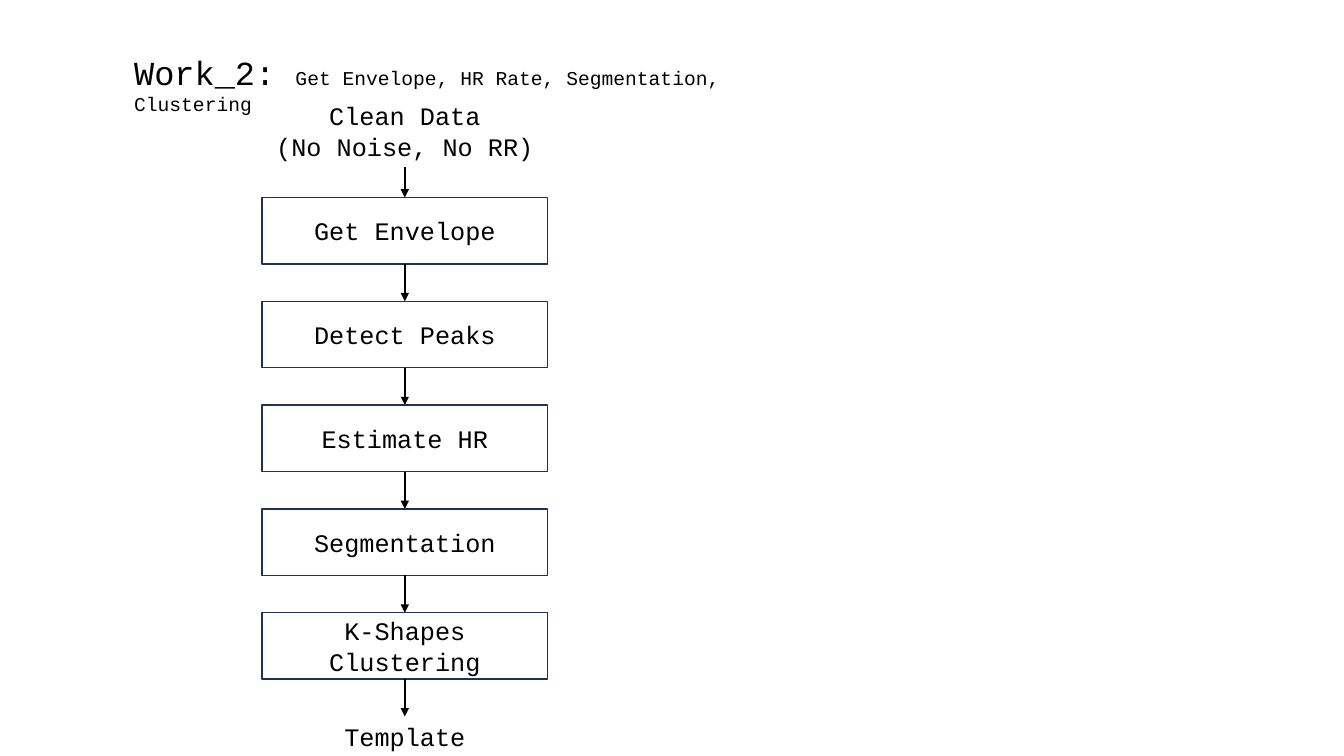
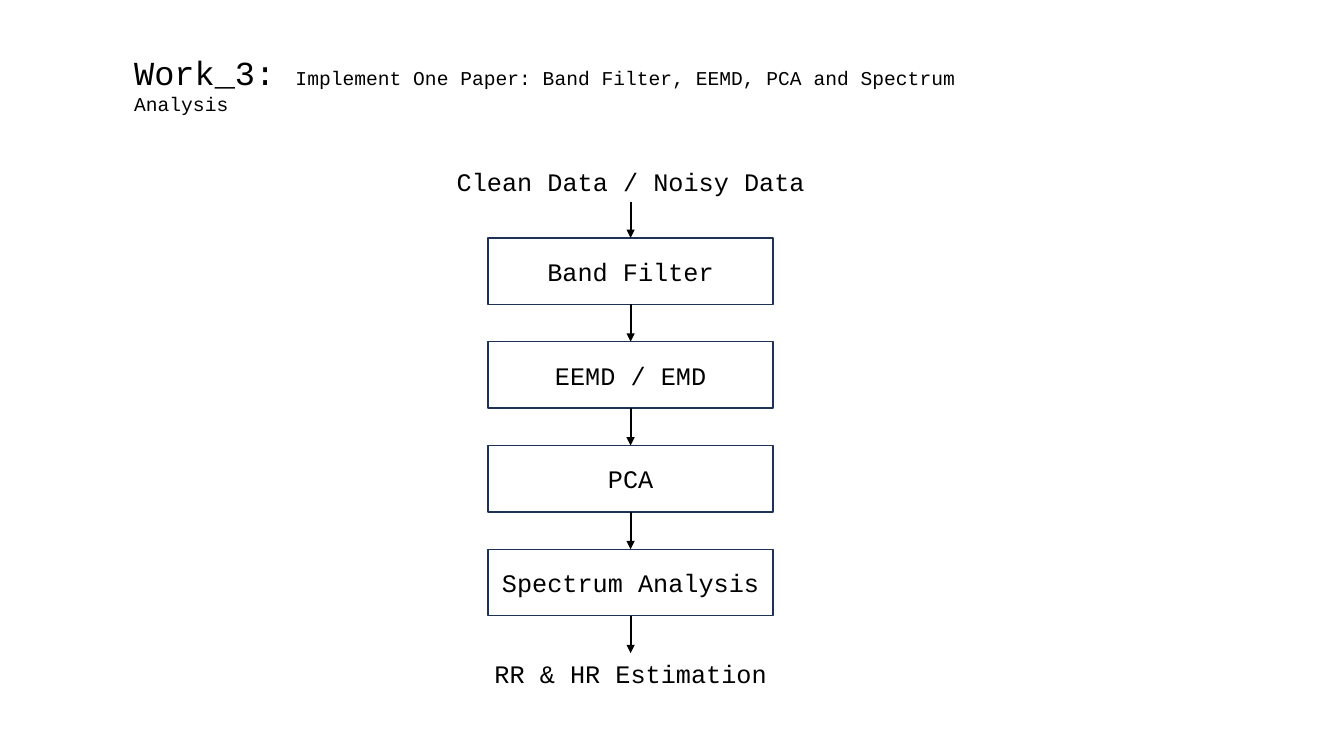
from pptx import Presentation
from pptx import util as u
from pptx.dml.color import RGBColor
from pptx.enum import shapes, text
from pptx.oxml import ns
from lxml import etree

COLORS = {"ink": "000000", "paper": "FFFFFF", "border": "1E3256"}
FONT = "Courier New"
SIZES = {"title": 24, "subtitle": 14, "body": 18}
BOX_W, BOX_H, GAP = 21.23, 8.8, 4.93
LINE_H, EXTRA_LINE_H = 5.33, 4.1


class Deck:
    """Style and current slide; lengths are percentages of the slide's size."""

    def __init__(self):
        self.prs = Presentation()
        self.prs.slide_width = u.Inches(13.33)
        self.prs.slide_height = u.Inches(7.5)
        self.s = None

    def x(self, share):
        return round(self.prs.slide_width * share / 100)

    def y(self, share):
        return round(self.prs.slide_height * share / 100)

    def area(self, left, top, width, height):
        return self.x(left), self.y(top), self.x(width), self.y(height)

    def color(self, name):
        return RGBColor.from_string(COLORS[name])

    def style(self, r, size):
        r.font.name = FONT
        r.font.size = u.Pt(SIZES[size])
        r.font.color.rgb = self.color("ink")

    def set_text(self, sp, words, anchor):
        tf = sp.text_frame
        tf.text = words
        tf.word_wrap = True
        tf.vertical_anchor = anchor
        for p in tf.paragraphs:
            p.alignment = text.PP_ALIGN.CENTER
            for r in p.runs:
                self.style(r, "body")

    def slide(self, heading, subtitle, width):
        self.s = self.prs.slides.add_slide(self.prs.slide_layouts[5])
        sp = self.s.shapes.title
        sp.left, sp.top, sp.width, sp.height = self.area(9.23, 6.13, width, 6.67)
        tf = sp.text_frame
        tf.word_wrap = True
        tf.auto_size = text.MSO_AUTO_SIZE.NONE
        tf.vertical_anchor = text.MSO_ANCHOR.TOP
        p = tf.paragraphs[0]
        p.alignment = text.PP_ALIGN.LEFT
        for words, size in ((heading + " ", "title"), (subtitle, "subtitle")):
            r = p.add_run()
            r.text = words
            self.style(r, size)

    def label(self, words, center, top, width):
        height = LINE_H + EXTRA_LINE_H * words.count("\n")
        sp = self.s.shapes.add_textbox(
            *self.area(center - width / 2, top, width, height))
        self.set_text(sp, words, text.MSO_ANCHOR.TOP)
        return sp

    def box(self, words, center, top):
        sp = self.s.shapes.add_shape(
            shapes.MSO_SHAPE.RECTANGLE,
            *self.area(center - BOX_W / 2, top, BOX_W, BOX_H))
        sp.shadow.inherit = False
        sp.fill.solid()
        sp.fill.fore_color.rgb = self.color("paper")
        sp.line.color.rgb = self.color("border")
        sp.line.width = u.Pt(1)
        self.set_text(sp, words, text.MSO_ANCHOR.MIDDLE)
        return sp

    def arrow(self, upper, lower):
        line = self.s.shapes.add_connector(
            shapes.MSO_CONNECTOR.STRAIGHT, 0, 0, 0, 0)
        line.begin_connect(upper, 2)
        line.end_connect(lower, 0)
        line.line.color.rgb = self.color("ink")
        line.line.width = u.Pt(1.5)
        props = line._element.spPr
        etree.SubElement(props.find(ns.qn("a:ln")), ns.qn("a:tailEnd"),
                         type="triangle")
        etree.SubElement(props, ns.qn("a:effectLst"))

    def flow(self, center, top, source, steps, result):
        chain = [self.label(source[0], center, *source[1:])]
        for step in steps:
            chain.append(self.box(step, center, top))
            top += BOX_H + GAP
        chain.append(self.label(result[0], center, top, result[1]))
        for upper, lower in zip(chain, chain[1:]):
            self.arrow(upper, lower)


def main():
    deck = Deck()
    deck.slide("Work_2:", "Get Envelope, HR Rate, Segmentation, Clustering", 52.96)
    deck.flow(30.12, 26.13,
              ("Clean Data\n(No Noise, No RR)", 12.67, BOX_W),
              ("Get Envelope", "Detect Peaks", "Estimate HR",
               "Segmentation", "K-Shapes Clustering"),
              ("Template", 12))
    deck.slide("Work_3:",
               "Implement One Paper: Band Filter, EEMD, PCA and Spectrum Analysis",
               66.99)
    deck.flow(46.92, 31.47,
              ("Clean Data / Noisy Data", 21.33, 31.73),
              ("Band Filter", "EEMD / EMD", "PCA", "Spectrum Analysis"),
              ("RR & HR Estimation", 21.9))
    deck.prs.save("out.pptx")


if __name__ == "__main__":
    main()
